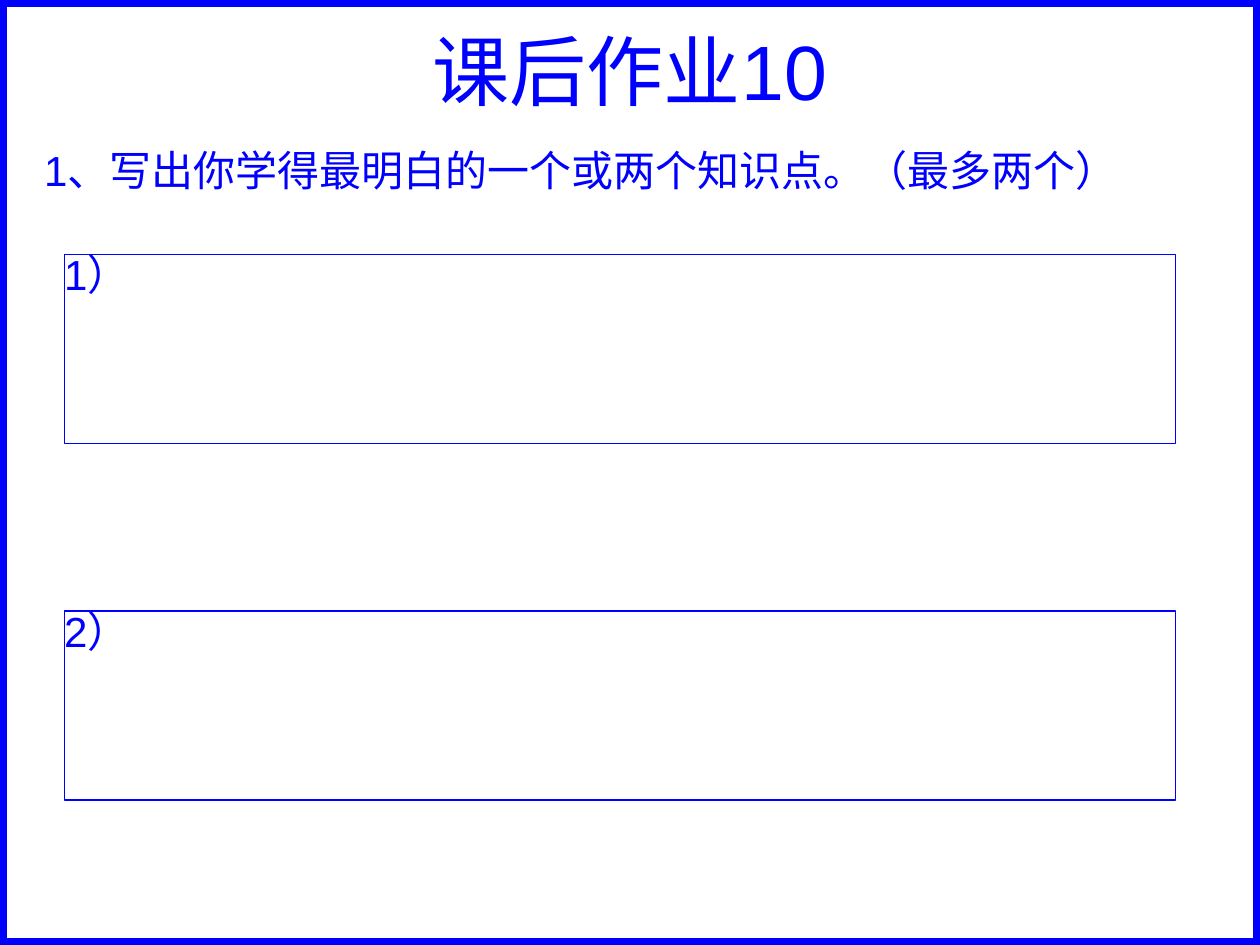
"""Build the homework slide: a framed page with a title, a question and two answer boxes."""
from pptx import Presentation
from pptx.dml.color import RGBColor
from pptx.enum.shapes import MSO_SHAPE
from pptx.enum.text import MSO_ANCHOR as ANCHOR, PP_ALIGN as ALIGN
from pptx.util import Pt

WIDTH, HEIGHT = 720, 540
BLUE, WHITE = "0000FF", "FFFFFF"
FONT = "Arial"

TITLE = "课后作业10"
QUESTION = "1、写出你学得最明白的一个或两个知识点。（最多两个）"
ANSWERS = ["1）", "2）"]
ANSWER_LEFT, ANSWER_TOP, ANSWER_WIDTH, ANSWER_HEIGHT = 36.72, 145.44, 635.04, 108
ANSWER_STEP = 203.76


def color(value):
    return RGBColor.from_string(value)


def add_frame(s, box, weight):
    sp = s.shapes.add_shape(MSO_SHAPE.RECTANGLE, *map(Pt, box))
    sp.shadow.inherit = False
    sp.fill.background()
    sp.line.color.rgb = color(BLUE)
    sp.line.width = Pt(weight)
    return sp


def add_label(s, box):
    return s.shapes.add_textbox(*map(Pt, box))


def write(sp, text, size=24, align=ALIGN.LEFT, anchor=ANCHOR.TOP, inset=(0, 0), before=0, spacing=1.0):
    tf = sp.text_frame
    tf.word_wrap = True
    tf.vertical_anchor = anchor
    tf.margin_left = tf.margin_right = Pt(inset[0])
    tf.margin_top = tf.margin_bottom = Pt(inset[1])
    p = tf.paragraphs[0]
    p.alignment = align
    p.space_before = Pt(before)
    p.line_spacing = spacing
    r = p.add_run()
    r.text = text
    r.font.name = FONT
    r.font.size = Pt(size)
    r.font.color.rgb = color(BLUE)


def main():
    prs = Presentation()
    prs.slide_width, prs.slide_height = Pt(WIDTH), Pt(HEIGHT)
    s = prs.slides.add_slide(prs.slide_layouts[6])
    s.background.fill.solid()
    s.background.fill.fore_color.rgb = color(WHITE)

    add_frame(s, (0, 0, WIDTH, HEIGHT), 8)
    write(add_label(s, (0, 9.36, WIDTH, 60.48)), TITLE, size=44,
          align=ALIGN.CENTER, anchor=ANCHOR.MIDDLE, inset=(7.2, 3.6))
    write(add_label(s, (25.2, 82.8, 658.08, 28.8)), QUESTION, before=6)
    for i, answer in enumerate(ANSWERS):
        box = (ANSWER_LEFT, ANSWER_TOP + i * ANSWER_STEP, ANSWER_WIDTH, ANSWER_HEIGHT)
        write(add_frame(s, box, 0.75), answer, before=15, spacing=0.9)

    prs.save("out.pptx")


if __name__ == "__main__":
    main()
